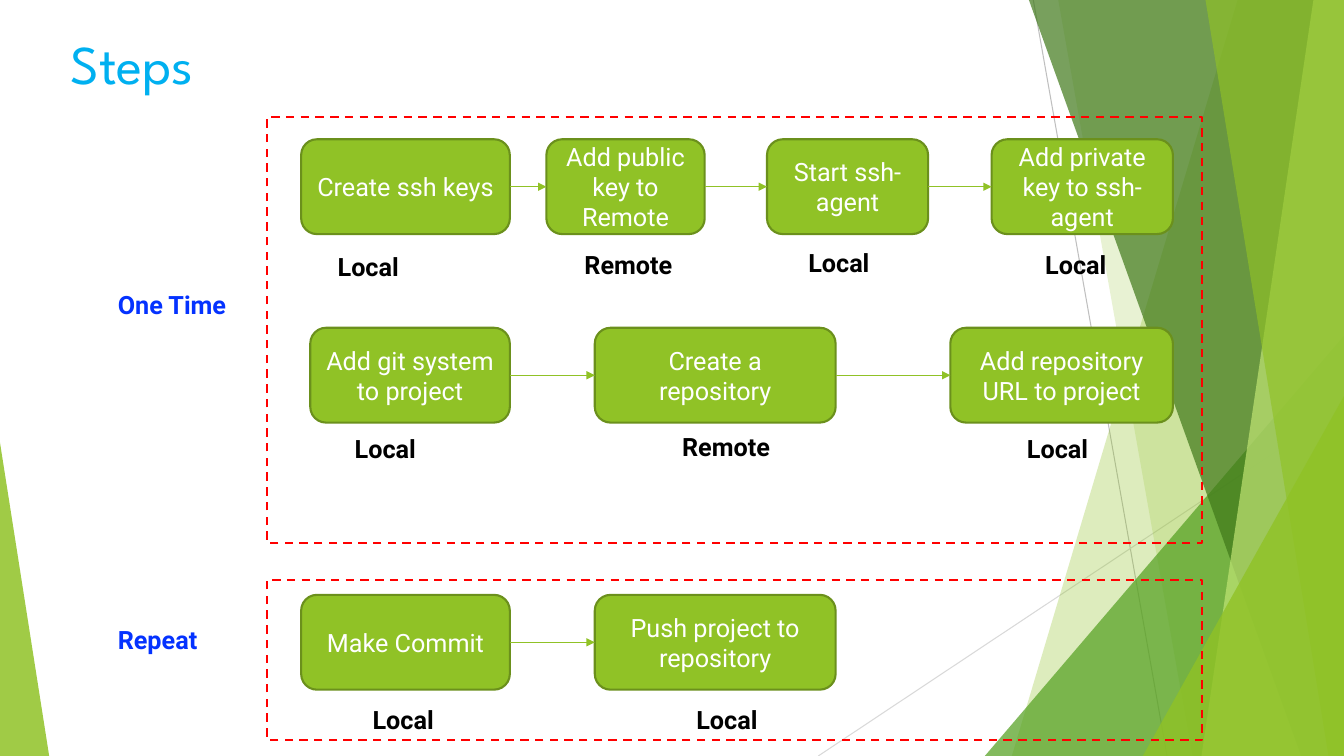
from pptx import Presentation
from pptx.dml.color import RGBColor
from pptx.enum import dml, shapes, text
from pptx.oxml import ns, xmlchemy
from pptx.util import Cm, Pt

HUES = {
    "green": "90C226", "edge": "6B901C", "leaf": "54A021", "dark": "3F7819",
    "lime": "C0E474", "grey": "BFBFBF", "pale": "D9D9D9", "sky": "00B0F0",
    "blue": "0432FF", "red": "FF0000", "black": "000000", "white": "FFFFFF",
}
RGB = {name: RGBColor.from_string(code) for name, code in HUES.items()}
WIDE, HIGH = 33.87, 19.05

deck = Presentation()
deck.slide_width, deck.slide_height = Cm(WIDE), Cm(HIGH)
slide = deck.slides.add_slide(deck.slide_layouts[5])
parts = slide.shapes


def add_line(x1, y1, x2, y2, hue, width):
    line = parts.add_connector(
        shapes.MSO_CONNECTOR.STRAIGHT, Cm(x1), Cm(y1), Cm(x2), Cm(y2))
    line.line.color.rgb = RGB[hue]
    line.line.width = Pt(width)
    line._element.spPr.append(xmlchemy.OxmlElement("a:effectLst"))
    return line


def add_label(words, x, y, width, hue):
    label = parts.add_textbox(Cm(x), Cm(y), Cm(width), Cm(1.02))
    frame = label.text_frame
    frame.word_wrap = True
    frame.text = words
    font = frame.paragraphs[0].font
    font.name, font.size, font.bold = "Roboto", Pt(18), True
    font.color.rgb = RGB[hue]


add_line(26.04, 0, 29.41, HIGH, "grey", 0.75)
add_line(WIDE, 10.24, 20.62, HIGH, "pale", 0.75)

panes = [
    (31.19, 25.5, 0, "green", 30),
    (26.67, 30.05, 0, "green", 20),
    (WIDE, 24.82, 8.46, "leaf", 72),
    (25.93, 32.79, 0, "dark", 70),
    (33.1, 30.28, 0, "lime", 70),
    (30.38, 33.48, 0, "green", 65),
    (WIDE, 28.8, 9.98, "green", 80),
    (0, 1.24, 11.15, "green", 85),
]
for peak, foot, top, hue, alpha in panes:
    if top:
        left = min(peak, foot)
        pane = parts.add_shape(
            shapes.MSO_SHAPE.ISOSCELES_TRIANGLE, Cm(left), Cm(top),
            Cm(abs(peak - foot)), Cm(HIGH - top))
        pane.adjustments[0] = 1 if peak > foot else 0
    else:
        path = parts.build_freeform(Cm(peak), 0)
        path.add_line_segments(
            [(Cm(WIDE), 0), (Cm(WIDE), Cm(HIGH)), (Cm(foot), Cm(HIGH))])
        pane = path.convert_to_shape()
    pane.shadow.inherit = False
    pane.line.fill.background()
    pane.fill.solid()
    pane.fill.fore_color.rgb = RGB[hue]
    clear = xmlchemy.OxmlElement("a:alpha")
    clear.set("val", str(alpha * 1000))
    pane._element.spPr.find(ns.qn("a:solidFill"))[0].append(clear)

title = parts.title
title.left, title.top = Cm(1.52), Cm(-0.25)
title.width, title.height = Cm(28.4), Cm(3.66)
title.text_frame.text = "Steps"
title.text_frame.vertical_anchor = text.MSO_ANCHOR.MIDDLE
head = title.text_frame.paragraphs[0]
head.alignment = text.PP_ALIGN.LEFT
head.font.name, head.font.size = "League Spartan", Pt(39)
head.font.color.rgb = RGB["sky"]
parts._spTree.append(title._element)

rows = [
    (3.51, [
        ("Create ssh keys", 7.59, 5.26, "Local", 8.26, 6.2),
        ("Add public key to Remote", 13.77, 3.99, "Remote", 14.48, 6.15),
        ("Start ssh-agent", 19.33, 4.06, "Local", 20.12, 6.12),
        ("Add private key to ssh-agent", 24.99, 4.57, "Local", 26.09, 6.15),
    ]),
    (8.26, [
        ("Add git system to project", 7.82, 5.03, "Local", 8.69, 10.8),
        ("Create a repository", 14.99, 6.07, "Remote", 16.94, 10.74),
        ("Add repository URL to project", 23.95, 5.61, "Local", 25.63, 10.8),
    ]),
    (14.99, [
        ("Make Commit", 7.59, 5.26, "Local", 9.14, 17.63),
        ("Push project to repository", 14.99, 6.07, "Local", 17.3, 17.63),
    ]),
]
for top, steps in rows:
    last = None
    for words, left, width, place, x, y in steps:
        box = parts.add_shape(
            shapes.MSO_SHAPE.ROUNDED_RECTANGLE,
            Cm(left), Cm(top), Cm(width), Cm(2.39))
        box.shadow.inherit = False
        box.fill.solid()
        box.fill.fore_color.rgb = RGB["green"]
        box.line.color.rgb = RGB["edge"]
        box.line.width = Pt(1.5)
        box.text_frame.text = words
        box.text_frame.vertical_anchor = text.MSO_ANCHOR.MIDDLE
        para = box.text_frame.paragraphs[0]
        para.alignment = text.PP_ALIGN.CENTER
        para.font.name, para.font.size = "Roboto", Pt(18)
        para.font.color.rgb = RGB["white"]
        add_label(place, x, y, 3.12, "black")
        if last:
            arrow = add_line(0, 0, 1, 1, "green", 1)
            arrow.begin_connect(last, 3)
            arrow.end_connect(box, 1)
            tip = xmlchemy.OxmlElement("a:tailEnd")
            tip.set("type", "triangle")
            arrow.line._get_or_add_ln().append(tip)
        last = box

phases = [("One Time", 2.95, 10.74, 7.16), ("Repeat", 14.61, 4.04, 15.6)]
for words, top, height, y in phases:
    frame = parts.add_shape(
        shapes.MSO_SHAPE.RECTANGLE, Cm(6.73), Cm(top), Cm(23.57), Cm(height))
    frame.shadow.inherit = False
    frame.fill.background()
    frame.line.color.rgb = RGB["red"]
    frame.line.width = Pt(1.5)
    frame.line.dash_style = dml.MSO_LINE.DASH
    add_label(words, 2.72, y, 3.6, "blue")

deck.save("out.pptx")
